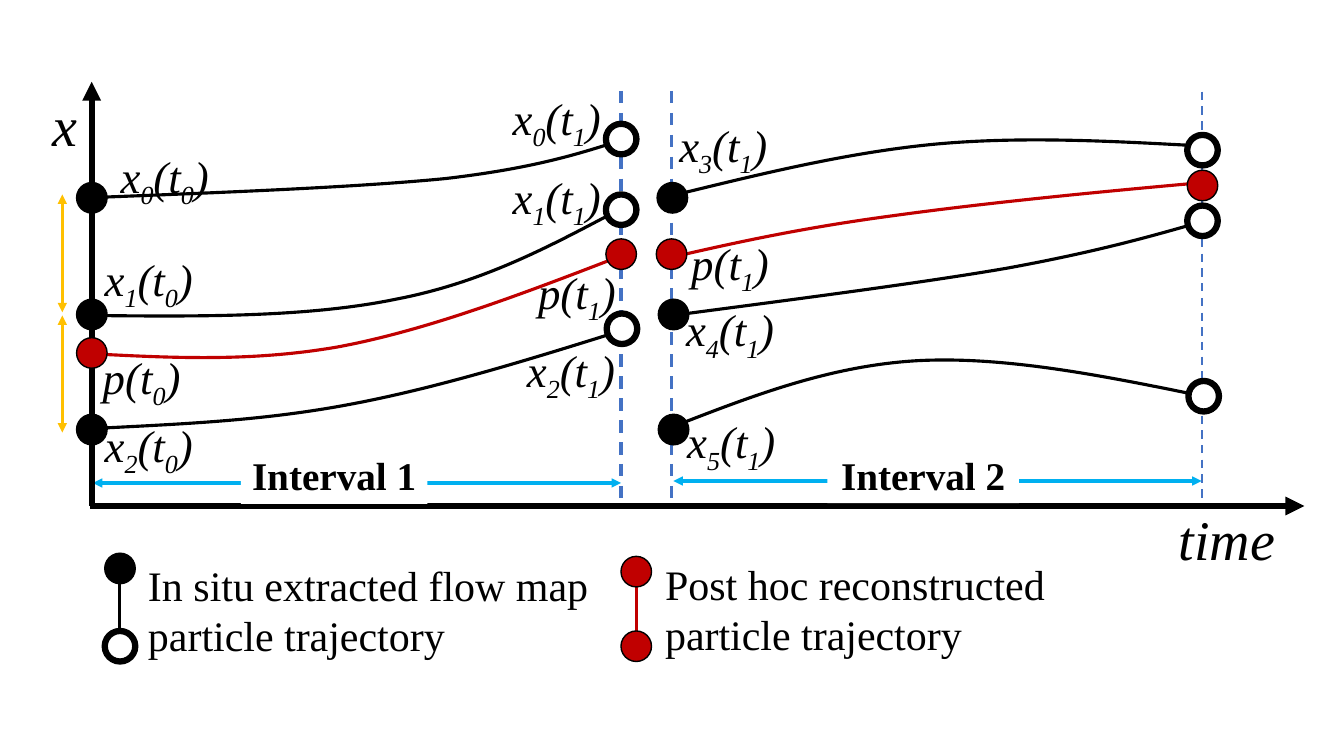
"""Build a slide of flow map trajectories over two time intervals."""
from lxml.etree import SubElement
from pptx import Presentation
from pptx.dml.color import RGBColor
from pptx.enum.dml import MSO_LINE
from pptx.enum.shapes import MSO_CONNECTOR, MSO_SHAPE
from pptx.enum.text import PP_ALIGN
from pptx.oxml.ns import qn
from pptx.util import Cm, Pt

BLACK, WHITE, RED = "000000", "FFFFFF", "C00000"
BLUE, CYAN, GOLD = "4472C4", "00B0F0", "FFC000"
FONT = "Times New Roman"


def color(value):
    return RGBColor.from_string(value)


def style(r, size, bold=None, italic=None):
    r.font.name, r.font.size = FONT, Pt(size)
    r.font.bold, r.font.italic = bold, italic
    r.font.color.rgb = color(BLACK)


prs = Presentation()
prs.slide_width, prs.slide_height = Cm(33.87), Cm(19.05)
s = prs.slides.add_slide(prs.slide_layouts[6])

both, tail = ("headEnd", "tailEnd"), ("tailEnd",)
lines = [
    (2.34, 12.17, 15.65, 12.17, CYAN, 2.25, both, False),
    (16.97, 12.12, 30.28, 12.12, CYAN, 2.25, both, False),
    (16.03, 14.78, 16.03, 15.9, RED, 2.25, (), False),
    (3.02, 14.71, 3.02, 15.9, BLACK, 2.25, (), False),
    (15.65, 2.29, 15.65, 12.7, BLUE, 2.25, (), True),
    (16.92, 2.29, 16.92, 12.7, BLUE, 2.25, (), True),
    (30.3, 2.31, 30.3, 12.73, BLUE, 1.5, (), True),
    (2.31, 12.75, 2.31, 2.06, BLACK, 4.5, tail, False),
    (2.26, 12.75, 32.87, 12.75, BLACK, 4.5, tail, False),
    (1.57, 4.9, 1.57, 7.87, GOLD, 2.25, both, False),
    (1.57, 7.95, 1.57, 10.9, GOLD, 2.25, both, False),
]
for x1, y1, x2, y2, hue, width, ends, dashed in lines:
    cn = s.shapes.add_connector(MSO_CONNECTOR.STRAIGHT, Cm(x1), Cm(y1), Cm(x2), Cm(y2))
    cn.line.color.rgb, cn.line.width = color(hue), Pt(width)
    if dashed:
        cn.line.dash_style = MSO_LINE.DASH
    spPr = cn.element.spPr
    for end in ends:
        SubElement(spPr.find(qn("a:ln")), qn("a:" + end), type="triangle")
    SubElement(spPr, qn("a:effectLst"))

curves = [
    (RED, [(16.94, 6.48), (18.59, 6.1), (20.24, 5.74), (22.48, 5.44),
           (24.71, 5.13), (27.51, 4.85), (30.33, 4.6)]),
    (BLACK, [(2.31, 4.98), (5.66, 4.85), (8.99, 4.72), (11.23, 4.5),
             (13.44, 4.24), (14.55, 3.89), (15.67, 3.53)]),
    (BLACK, [(2.26, 7.95), (5, 7.98), (7.75, 8), (9.98, 7.54),
             (12.22, 7.11), (13.92, 6.17), (15.65, 5.26)]),
    (BLACK, [(2.34, 10.8), (4.42, 10.69), (6.5, 10.62), (8.71, 10.21),
             (10.95, 9.8), (13.31, 9.07), (15.67, 8.33)]),
    (BLACK, [(16.94, 4.93), (19.15, 4.39), (21.36, 3.84), (23.6, 3.63),
             (25.81, 3.43), (28.07, 3.56), (30.3, 3.68)]),
    (BLACK, [(16.94, 7.95), (20.04, 7.54), (23.16, 7.14), (25.37, 6.76),
             (27.61, 6.35), (28.96, 5.97), (30.28, 5.59)]),
    (BLACK, [(16.99, 10.74), (18.95, 9.98), (20.9, 9.22), (23.11, 9.09),
             (25.32, 8.97), (27.81, 9.47), (30.3, 9.98)]),
    (RED, [(2.39, 8.92), (4.37, 9.02), (6.35, 9.12), (8.53, 8.74),
           (10.72, 8.33), (13.08, 7.44), (15.44, 6.53)]),
]
for hue, points in curves:
    start, *rest = [(Cm(x), Cm(y)) for x, y in points]
    builder = s.shapes.build_freeform(*start)
    builder.add_line_segments(rest, close=False)
    sp = builder.convert_to_shape()
    sp.shadow.inherit = False
    sp.fill.background()
    sp.line.color.rgb, sp.line.width = color(hue), Pt(2.25)
    outline = next(sp.element.iter(qn("a:path")))
    segments = outline.findall(qn("a:lnTo"))
    for i in range(0, len(segments), 3):
        bezier = SubElement(outline, qn("a:cubicBezTo"))
        for segment in segments[i:i + 3]:
            bezier.append(segment[0])
            outline.remove(segment)

particles = [
    (BLACK, 1, [(1.93, 4.6), (1.93, 7.54), (1.93, 10.44), (16.56, 4.6),
                (16.59, 7.54), (16.59, 10.44), (2.64, 13.94)]),
    (WHITE, 4.5, [(15.27, 3.12), (15.27, 4.9), (15.29, 7.9), (29.92, 3.4),
                  (29.92, 5.18), (29.95, 9.6), (2.64, 15.9)]),
    (RED, 1, [(1.93, 8.51), (15.27, 6.02), (16.54, 6.02), (29.92, 4.29),
              (15.65, 14.02), (15.65, 15.9)]),
]
for hue, width, places in particles:
    for x, y in places:
        sp = s.shapes.add_shape(MSO_SHAPE.OVAL, Cm(x), Cm(y), Cm(0.77), Cm(0.77))
        sp.shadow.inherit = False
        sp.fill.solid()
        sp.fill.fore_color.rgb = color(hue)
        sp.line.color.rgb, sp.line.width = color(BLACK), Pt(width)

for text, x, y, w in [("Interval 1", 6.07, 11.25, 4.7), ("Interval 2", 20.85, 11.23, 4.83)]:
    sp = s.shapes.add_shape(MSO_SHAPE.RECTANGLE, Cm(x), Cm(y), Cm(w), Cm(1.45))
    sp.shadow.inherit = False
    sp.fill.solid()
    sp.fill.fore_color.rgb = color(WHITE)
    sp.line.fill.background()
    p = sp.text_frame.paragraphs[0]
    p.text = text
    p.alignment = PP_ALIGN.CENTER
    style(p.runs[0], 28, bold=True)

captions = [
    ("time", 29.46, 12.6, 2.97, 1.96, 40, True, False),
    ("x", 1.07, 2.16, 1.14, 1.96, 40, True, False),
    ("In situ extracted flow map particle trajectory", 3.48, 13.97, 11.99, 2.82, 30, None, True),
    ("Post hoc reconstructed particle trajectory", 16.51, 13.94, 11, 2.82, 30, None, True),
]
for text, x, y, w, h, size, italic, wrap in captions:
    tf = s.shapes.add_textbox(Cm(x), Cm(y), Cm(w), Cm(h)).text_frame
    tf.word_wrap = wrap
    tf.text = text
    style(tf.paragraphs[0].runs[0], size, italic=italic)

labels = [
    ("x|0|(t|0|)", 2.79, 3.63), ("x|1|(t|0|)", 2.39, 6.22),
    ("p(t|0|)", 2.34, 8.69), ("x|2|(t|0|)", 2.39, 10.39),
    ("x|0|(t|1|)", 12.67, 2.16), ("x|1|(t|1|)", 12.67, 4.14),
    ("p(t|1|)", 13.31, 6.55), ("x|2|(t|1|)", 13.03, 8.51),
    ("x|3|(t|1|)", 16.87, 2.84), ("p(t|1|)", 17.17, 5.82),
    ("x|4|(t|1|)", 17.04, 7.49), ("x|5|(t|1|)", 17.07, 10.31),
]
for label, x, y in labels:
    tf = s.shapes.add_textbox(Cm(x), Cm(y), Cm(3.43), Cm(1.63)).text_frame
    tf.word_wrap = True
    for i, part in enumerate(label.split("|")):
        r = tf.paragraphs[0].add_run()
        r.text = part
        style(r, 32, italic=True)
        if i % 2:
            r.font._element.set("baseline", "-25000")

prs.save("out.pptx")
